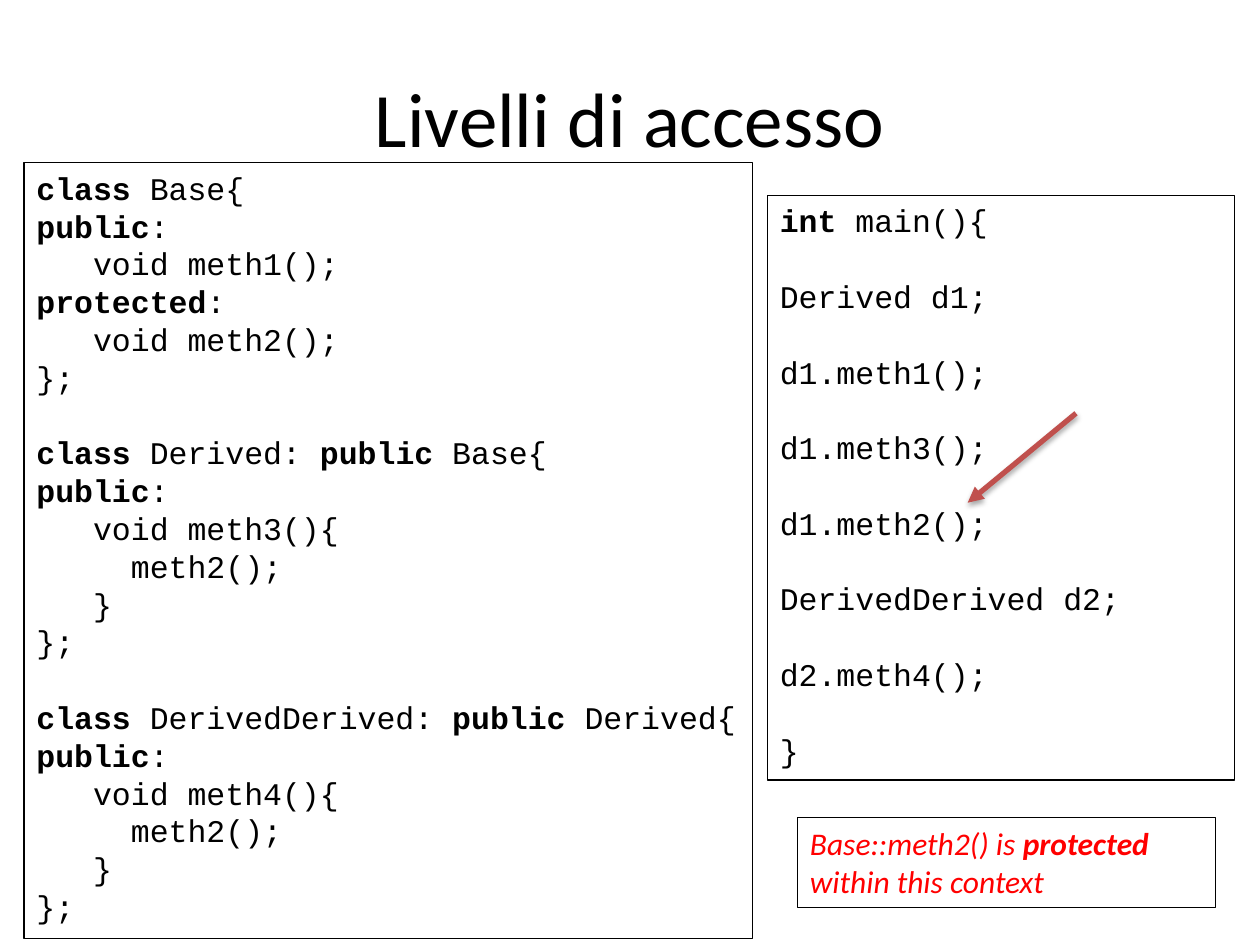
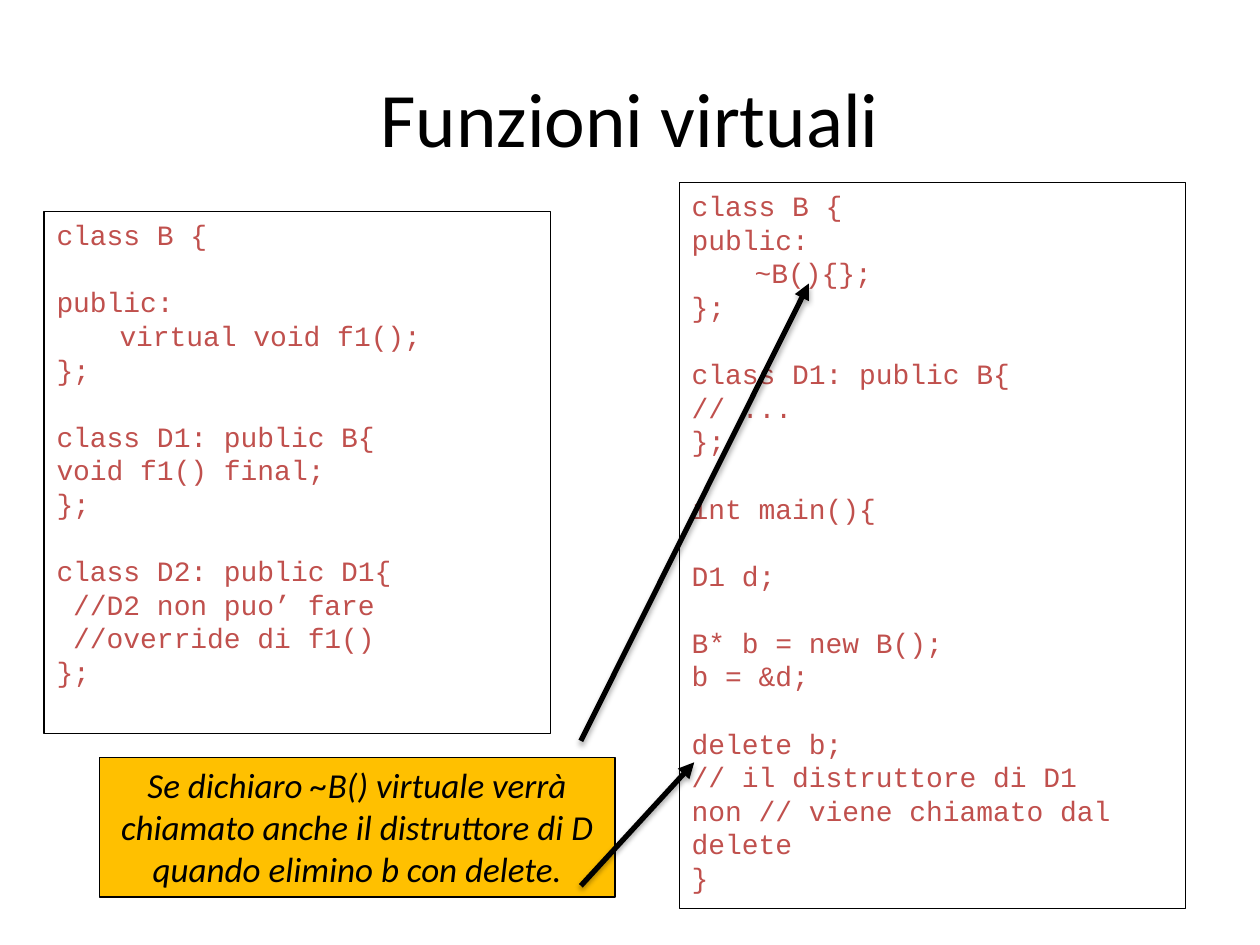
from lxml.etree import SubElement
from pptx import Presentation
from pptx.dml.color import RGBColor
from pptx.enum.shapes import MSO_CONNECTOR as Link
from pptx.enum.text import MSO_ANCHOR as Anchor, PP_ALIGN as Align
from pptx.oxml import parse_xml
from pptx.oxml.ns import nsdecls, qn
from pptx.util import Inches, Pt

BLACK = RGBColor(0, 0, 0)
RED = RGBColor(0xFF, 0, 0)
BRICK = RGBColor(0xC0, 0x50, 0x4D)
AMBER = RGBColor(0xFF, 0xC0, 0)
SANS = "Calibri"
MONO = "Courier New"
PITCH = 1.2

LEVELS = """**class** Base{
**public**:
   void meth1();
**protected**:
   void meth2();
};

**class **Derived: **public **Base{
**public**:
   void meth3(){
     meth2();
   }
};

**class **DerivedDerived: **public **Derived{
**public**:
   void meth4(){
     meth2();
   }
};"""

CALLS = """**int **main(){

Derived d1;

d1.meth1();

d1.meth3();

d1.meth2();

DerivedDerived d2;

d2.meth4();

}"""

FINAL = """class B {

public:
\tvirtual void f1();
};

class D1: public B{
void f1() final;
};

class D2: public D1{
 //D2 non puo’ fare
 //override di f1()
};"""

DELETE = """class B {
public:
\t~B(){};
};

class D1: public B{
// ...
};

int main(){

D1 d;

B* b = new B();
b = &d;

delete b;
// il distruttore di D1 non // viene chiamato dal delete
}"""

ERROR = "Base::meth2() is **protected **within this context"
ADVICE = ("Se dichiaro ~B() virtuale verrà chiamato anche il distruttore "
          "di D quando elimino b con delete.")


def write(slide, box, text, size, color, face=SANS, align=Align.LEFT,
          italic=False, wrap=True):
    shape = slide.shapes.add_textbox(*map(Inches, box))
    frame = shape.text_frame
    frame.word_wrap = wrap
    gap = 0
    first = True
    for line in text.split("\n"):
        if not line:
            gap += size * PITCH
            continue
        para = frame.paragraphs[0] if first else frame.add_paragraph()
        first = False
        para.alignment = align
        if gap:
            para.space_before = Pt(gap)
        gap = 0
        font = para.font
        font.name, font.size, font.italic = face, Pt(size), italic
        font.color.rgb = color
        for i, part in enumerate(line.split("**")):
            if part:
                run = para.add_run()
                run.text = part
                if i % 2:
                    run.font.bold = True
    return shape


def border(shape):
    shape.line.color.rgb = BLACK
    shape.line.width = Pt(0.75)


def title(slide, text):
    shape = write(slide, (0.5, 0.3, 9, 1.25), text, 44, BLACK,
                  align=Align.CENTER)
    shape.text_frame.vertical_anchor = Anchor.MIDDLE


def code(slide, box, text, size, color, wrap=True):
    border(write(slide, box, text, size, color, MONO, wrap=wrap))


def note(slide, box, text, size, color, align=Align.LEFT, fill=None):
    shape = write(slide, box, text, size, color, align=align, italic=True)
    border(shape)
    if fill is not None:
        shape.fill.solid()
        shape.fill.fore_color.rgb = fill


def arrow(slide, start, end, color):
    link = slide.shapes.add_connector(
        Link.STRAIGHT, *map(Inches, (*start, *end)))
    link.line.color.rgb = color
    link.line.width = Pt(3)
    SubElement(link.line._get_or_add_ln(), qn("a:tailEnd"), type="triangle")
    link._element.spPr.append(parse_xml(
        f'<a:effectLst {nsdecls("a")}><a:outerShdw blurRad="{Pt(3.1)}" '
        f'dist="{Pt(1.8)}" dir="5400000" rotWithShape="0">'
        '<a:srgbClr val="000000"><a:alpha val="35000"/></a:srgbClr>'
        '</a:outerShdw></a:effectLst>'))


def access(slide, x, y):
    title(slide, "Livelli di accesso")
    code(slide, (x, y, 5.78, 6.16), LEVELS, 18, BLACK, wrap=False)
    code(slide, (x + 5.9, y + 0.26, 3.71, 4.64), CALLS, 18, BLACK)
    arrow(slide, (x + 8.35, y + 1.99), (x + 7.49, y + 2.7), BRICK)
    note(slide, (x + 6.14, y + 5.2, 3.32, 0.71), ERROR, 18, RED)


def virtual(slide, x, y):
    title(slide, "Funzioni virtuali")
    code(slide, (x, y + 0.23, 4.02, 4.14), FINAL, 16, BRICK)
    code(slide, (x + 5.04, y, 4.02, 5.76), DELETE, 16, BRICK)
    note(slide, (x + 0.44, y + 4.56, 4.09, 1.11), ADVICE, 20, BLACK,
         Align.CENTER, AMBER)
    arrow(slide, (x + 4.26, y + 4.43), (x + 6.07, y + 0.8), BLACK)
    arrow(slide, (x + 4.26, y + 5.58), (x + 5.16, y + 4.6), BLACK)


def main():
    deck = Presentation()
    deck.slide_width, deck.slide_height = Inches(10), Inches(7.5)
    blank = deck.slide_layouts[6]
    access(deck.slides.add_slide(blank), 0.19, 1.29)
    virtual(deck.slides.add_slide(blank), 0.35, 1.45)
    deck.save("out.pptx")


if __name__ == "__main__":
    main()
